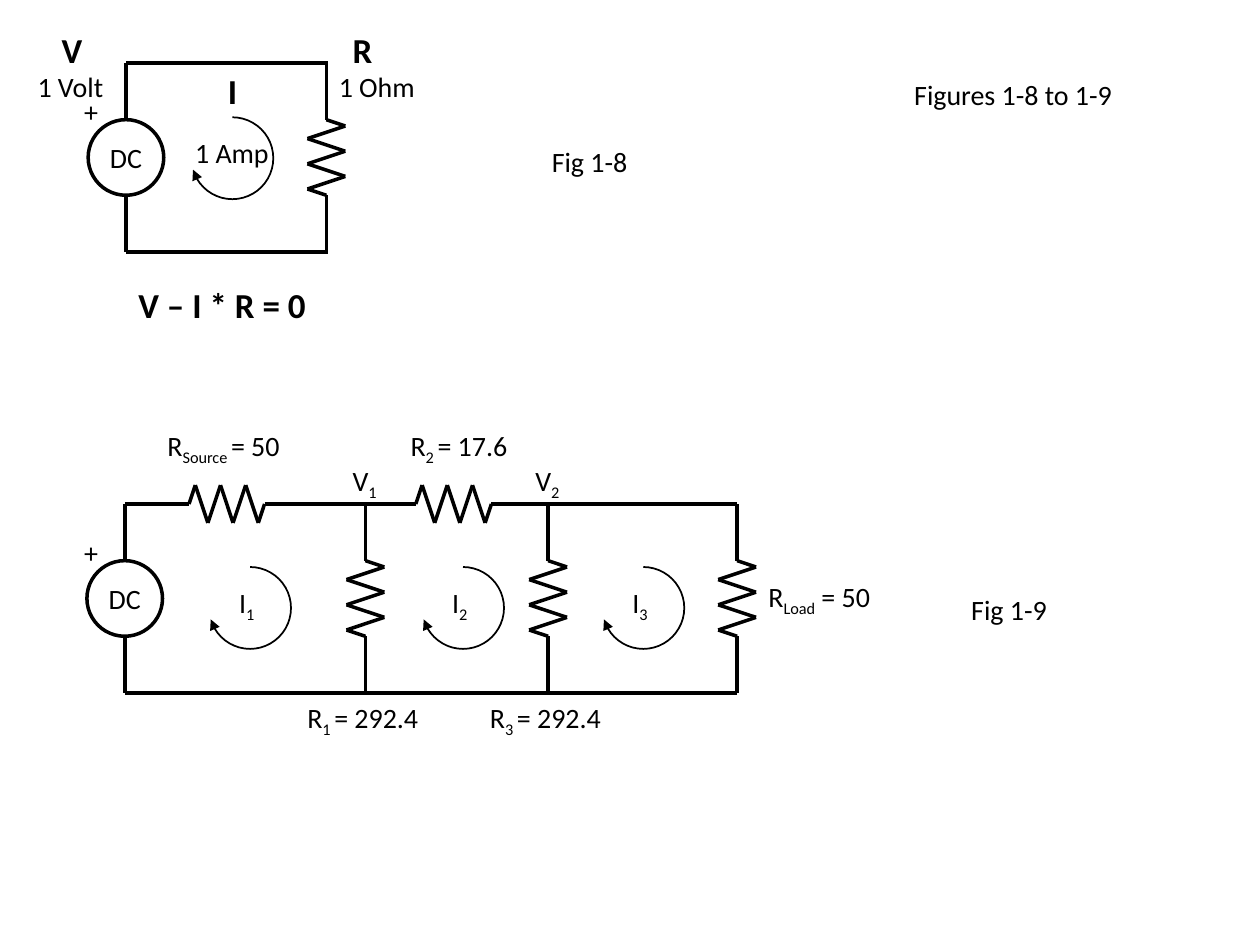
from dataclasses import dataclass

from lxml import etree
from pptx import Presentation
from pptx.dml.color import RGBColor
from pptx.enum.shapes import MSO_CONNECTOR, MSO_SHAPE
from pptx.enum.text import MSO_ANCHOR, MSO_AUTO_SIZE, PP_ALIGN
from pptx.oxml.ns import qn
from pptx.util import Pt

STRAIGHT = MSO_CONNECTOR.STRAIGHT
ELLIPSE, ARC = MSO_SHAPE.OVAL, MSO_SHAPE.ARC
MIDDLE, CENTER = MSO_ANCHOR.MIDDLE, PP_ALIGN.CENTER
FIT_SHAPE = MSO_AUTO_SIZE.SHAPE_TO_FIT_TEXT


@dataclass(frozen=True)
class Theme:
    ink: RGBColor = RGBColor(0, 0, 0)
    font: str = "Calibri"
    body: int = 16
    symbol: int = 20
    wire: int = 2
    loop: int = 1


THEME = Theme()
RADIUS = 21.6
SWING = 10.8
LOOP_SIZE = 46.8
ZIGZAG = ([(0, 0)]
          + [(SWING * (-1) ** i, 3.6 + 7.2 * i) for i in range(6)]
          + [(0, 2 * RADIUS)])


def style_line(line, width):
    line.color.rgb = THEME.ink
    line.width = Pt(width)


def style_paragraph(p, size, bold=False):
    p.font.name = THEME.font
    p.font.size = Pt(size)
    p.font.bold = bold
    p.font.color.rgb = THEME.ink


def wire(shapes, start, end):
    s = shapes.add_connector(STRAIGHT, *map(Pt, start + end))
    style_line(s.line, THEME.wire)
    etree.SubElement(s._element.spPr, qn("a:effectLst"))


def resistor(shapes, x, y, vertical=True):
    group = shapes.add_group_shape()
    points = [(x + across, y + along) if vertical else (x + along, y - across)
              for across, along in ZIGZAG]
    for start, end in zip(points, points[1:]):
        wire(group.shapes, start, end)


def leads(shapes, x, top, bottom):
    middle = (top + bottom) / 2
    wire(shapes, (x, top), (x, middle - RADIUS))
    wire(shapes, (x, middle + RADIUS), (x, bottom))
    return middle


def resistor_branch(shapes, x, top, bottom):
    middle = leads(shapes, x, top, bottom)
    resistor(shapes, x, middle - RADIUS)


def source_branch(shapes, x, top, bottom):
    middle = leads(shapes, x, top, bottom)
    sp = shapes.add_shape(ELLIPSE, Pt(x - RADIUS), Pt(middle - RADIUS),
                          Pt(2 * RADIUS), Pt(2 * RADIUS))
    sp.shadow.inherit = False
    sp.fill.background()
    style_line(sp.line, THEME.wire)
    tf = sp.text_frame
    tf.margin_left = tf.margin_right = tf.margin_top = tf.margin_bottom = 0
    tf.vertical_anchor = MIDDLE
    p = tf.paragraphs[0]
    p.text = "DC"
    p.alignment = CENTER
    style_paragraph(p, THEME.body)


def current_loop(shapes, x, y):
    sp = shapes.add_shape(ARC, Pt(x), Pt(y), Pt(LOOP_SIZE), Pt(LOOP_SIZE))
    sp.adjustments[0] = 162
    sp.adjustments[1] = 98.286
    sp.shadow.inherit = False
    sp.fill.background()
    style_line(sp.line, THEME.loop)
    etree.SubElement(sp.line._get_or_add_ln(), qn("a:tailEnd"), type="triangle")


def label(shapes, text, x, y, width, size=THEME.body, bold=False, wrap=False):
    """Parts between bars alternate between normal text and subscript."""
    height = 31.5 if size == THEME.symbol else 26.6
    tf = shapes.add_textbox(Pt(x), Pt(y), Pt(width), Pt(height)).text_frame
    tf.word_wrap = wrap
    tf.auto_size = FIT_SHAPE
    p = tf.paragraphs[0]
    style_paragraph(p, size, bold)
    for i, part in enumerate(text.split("|")):
        r = p.add_run()
        r.text = part
        if i % 2:
            r._r.get_or_add_rPr().set("baseline", "-25000")


def title(shapes, text):
    tf = shapes.add_textbox(Pt(473.8), Pt(21.6), Pt(210.2), Pt(64.8)).text_frame
    tf.word_wrap = True
    tf.vertical_anchor = MIDDLE
    p = tf.paragraphs[0]
    p.text = text
    p.alignment = CENTER
    style_paragraph(p, THEME.body)


def single_loop_circuit(shapes):
    left, right, top, bottom = 72, 186.5, 36, 144
    source_branch(shapes, left, top, bottom)
    resistor_branch(shapes, right, top, bottom)
    for y in (top, bottom):
        wire(shapes, (left, y), (right + 0.7, y))
    current_loop(shapes, 109.4, 67)
    for text, x, y, width in (("1 Volt", 14.4, 36, 52.6), ("1 Ohm", 186.5, 36, 58.3),
                              ("1 Amp", 104.4, 74.2, 56.9), ("+", 41, 50.4, 22.3),
                              ("Fig 1-8", 308.2, 79.2, 58.3)):
        label(shapes, text, x, y, width)
    for text, x, y, width in (("V", 28.1, 13, 26.6), ("I", 123.1, 36, 20.2),
                              ("R", 194.4, 13, 25.9), ("V – I * R = 0", 72, 158.4, 110.9)):
        label(shapes, text, x, y, width, THEME.symbol, True)


def ladder_circuit(shapes):
    left, top, bottom = 71.3, 288, 396
    branches = (208.8, 313.2, 421.2)
    series = (108, 237.6)
    source_branch(shapes, left, top, bottom)
    for x in branches:
        resistor_branch(shapes, x, top, bottom)
    for x in series:
        resistor(shapes, x, top, vertical=False)
    starts = [left] + [x + 2 * RADIUS for x in series]
    for start, end in zip(starts, series + branches[-1:]):
        wire(shapes, (start, top), (end, top))
    wire(shapes, (left, bottom), (branches[-1], bottom))
    for i, x in enumerate((119.5, 241.2, 344.2), start=1):
        current_loop(shapes, x, 324)
        label(shapes, f"I|{i}", x + 10.1, 331.2, 23.8)
    for i, x in enumerate(branches[:2], start=1):
        label(shapes, f"V|{i}", x - 14.4, 261.4, 29.5)
        label(shapes, f"R|{2 * i - 1} |= 292.4", x - 40.3, 396.7, 79.9)
    for text, x, y, width in (("R|Source |= 50", 88.6, 241.2, 82.8),
                              ("R|2 |= 17.6", 227.5, 241.2, 71.3),
                              ("+", 41, 302.4, 22.3),
                              ("Fig 1-9", 547.9, 334.8, 58.3)):
        label(shapes, text, x, y, width)
    label(shapes, "R|Load| = 50", 432, 327.6, 82.8, wrap=True)


def main():
    prs = Presentation()
    prs.slide_width, prs.slide_height = Pt(720), Pt(540)
    shapes = prs.slides.add_slide(prs.slide_layouts[6]).shapes
    title(shapes, "Figures 1-8 to 1-9")
    single_loop_circuit(shapes)
    ladder_circuit(shapes)
    prs.save("out.pptx")


if __name__ == "__main__":
    main()
